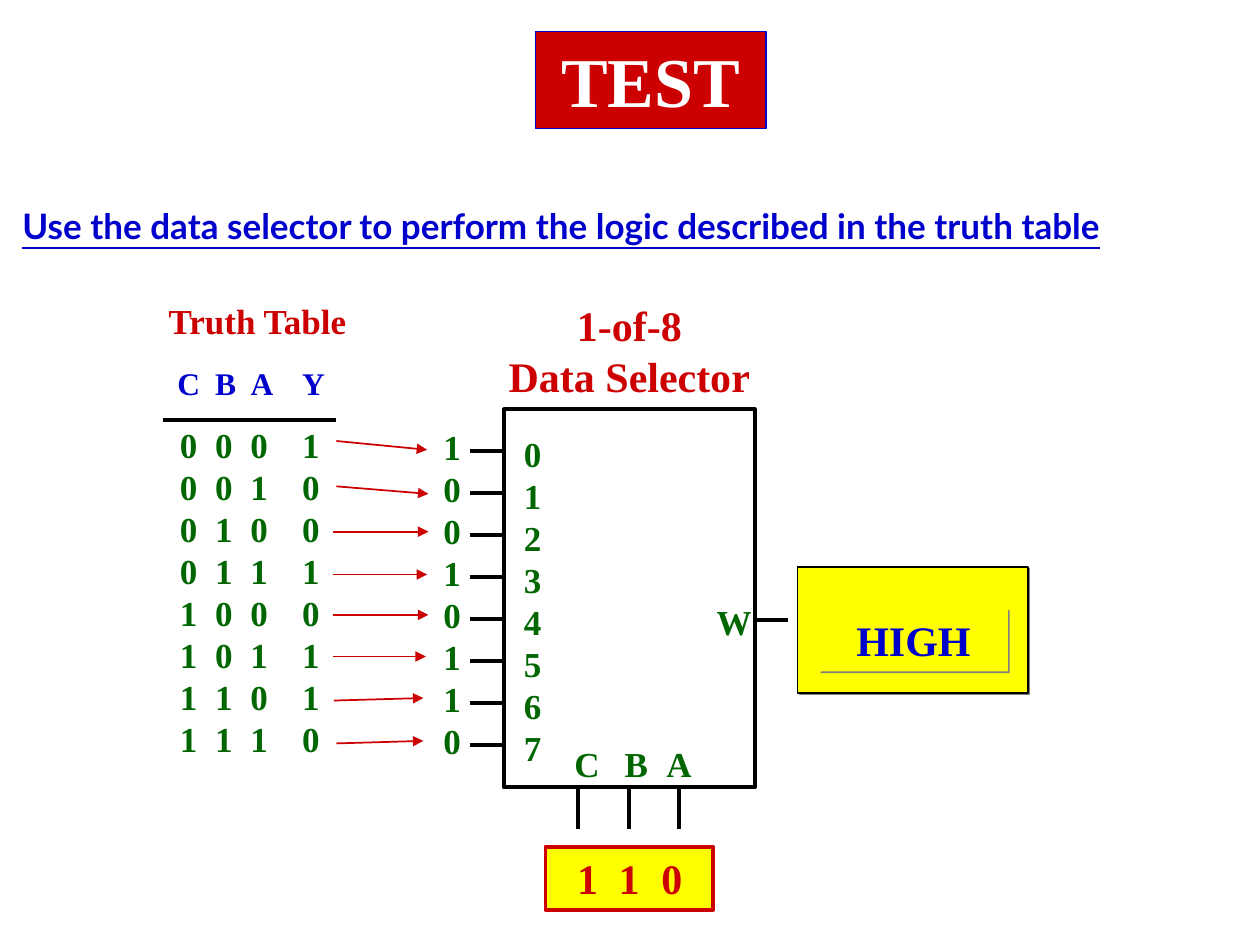
from dataclasses import dataclass, field
from typing import Any, Optional

from lxml import etree
from pptx import Presentation
from pptx import util as u
from pptx.dml.color import RGBColor
from pptx.enum import shapes, text
from pptx.oxml import ns

RED, BLUE, GREEN = "CC0000", "0000CC", "006600"
BLACK, WHITE, YELLOW, GRAY = "000000", "FFFFFF", "FFFF00", "808080"
SERIF = "Times New Roman"
ROW_PITCH = 1 / 3
DIGIT_TABS = (0.28, 0.56, 0.97)


@dataclass
class Line:
    words: str
    size: float = 20
    color: str = GREEN
    font: dict[str, Any] = field(default_factory=dict)
    tabs: tuple[float, ...] = ()
    paragraph: dict[str, Any] = field(default_factory=dict)


@dataclass
class Panel:
    left: float
    top: float
    width: float
    height: float
    fill: Optional[str] = None
    outline: Optional[str] = None
    weight: float = 0.75
    shadow: bool = False


@dataclass
class Arrow:
    start: tuple[float, float]
    end: tuple[float, float]


def rgb(value: str) -> RGBColor:
    return RGBColor.from_string(value)


def add_node(parent: Any, tag: str, **attributes: str) -> Any:
    return etree.SubElement(parent, ns.qn(tag), attributes)


def write(box: Any, lines: list[Line], align: text.PP_ALIGN, inset: float = 0.1) -> None:
    frame = box.text_frame
    layout = {"word_wrap": True, "vertical_anchor": text.MSO_ANCHOR.TOP,
              "margin_left": u.Inches(inset), "margin_right": u.Inches(0.1),
              "margin_top": u.Inches(0.05), "margin_bottom": u.Inches(0.05)}
    for name, value in layout.items():
        setattr(frame, name, value)
    for index, line in enumerate(lines):
        para = frame.add_paragraph() if index else frame.paragraphs[0]
        if line.tabs:
            stops = add_node(para._p.get_or_add_pPr(), "a:tabLst")
            for stop in line.tabs:
                add_node(stops, "a:tab", pos=str(u.Inches(stop)), algn="l")
        for name, value in {"alignment": align, **line.paragraph}.items():
            setattr(para, name, value)
        span = para.add_run()
        span.text = line.words
        style = {"name": SERIF, "size": u.Pt(line.size), "bold": True, **line.font}
        for name, value in style.items():
            setattr(span.font, name, value)
        span.font.color.rgb = rgb(line.color)


def add_text(page: Any, left: float, top: float, width: float, height: float,
             *lines: Line, align: text.PP_ALIGN = text.PP_ALIGN.LEFT) -> None:
    box = page.shapes.add_textbox(*map(u.Inches, (left, top, width, height)))
    write(box, list(lines), align)


def add_panel(host: Any, panel: Panel) -> Any:
    """Draw a rectangle on a slide or in a group."""
    corners = map(u.Inches, (panel.left, panel.top, panel.width, panel.height))
    box = host.shapes.add_shape(shapes.MSO_SHAPE.RECTANGLE, *corners)
    box.shadow.inherit = False
    if panel.fill:
        box.fill.solid()
        box.fill.fore_color.rgb = rgb(panel.fill)
    else:
        box.fill.background()
    if panel.outline:
        box.line.color.rgb = rgb(panel.outline)
        box.line.width = u.Pt(panel.weight)
    else:
        box.line.fill.background()
    if panel.shadow:
        effects = box._element.spPr.find(ns.qn("a:effectLst"))
        shade = add_node(effects, "a:outerShdw", dist=str(u.Pt(1.4)), dir="2700000",
                         algn="ctr", rotWithShape="0")
        add_node(shade, "a:srgbClr", val=GRAY)
    return box


def add_line(page: Any, start: tuple[float, float], end: tuple[float, float],
             color: str = BLACK, weight: float = 2.25, arrowhead: bool = False) -> Any:
    line = page.shapes.add_connector(shapes.MSO_CONNECTOR.STRAIGHT,
                                     *map(u.Inches, (*start, *end)))
    line.line.color.rgb = rgb(color)
    line.line.width = u.Pt(weight)
    if arrowhead:
        add_node(line.line._get_or_add_ln(), "a:tailEnd", type="triangle")
    add_node(line._element.spPr, "a:effectLst")
    return line


def draw_selector(page: Any) -> None:
    add_text(page, 3.83, 2.33, 2.33, 0.9, Line("1-of-8", 24, RED),
             Line("Data Selector", 24, RED), align=text.PP_ALIGN.CENTER)
    block = add_panel(page, Panel(4, 3.25, 1.99, 3, outline=BLACK, weight=2.25))
    for port, level in enumerate("10010110"):
        drop = port * ROW_PITCH
        add_line(page, (3.73, 3.58 + drop), (4, 3.58 + drop))
        add_text(page, 4.06, 3.38 + drop, 0.33, 0.44, Line(str(port)))
        add_text(page, 3.42, 3.33 + drop, 0.33, 0.44, Line(level))
    add_line(page, (5.98, 4.92), (6.25, 4.92))
    add_text(page, 5.59, 4.72, 0.33, 0.44, Line("W"))
    for x in (4.59, 4.99, 5.39):
        lead = add_line(page, (x, 6.25), (x, 6.58))
        if x == 4.99:
            lead.begin_connect(block, 2)
            lead.end_x = lead.begin_x
    for name, left in (("C", 4.46), ("B", 4.86), ("A", 5.19)):
        add_text(page, left, 5.84, 0.33, 0.44, Line(name))
    address = add_panel(page, Panel(4.33, 6.72, 1.33, 0.5, YELLOW, RED, 2.25))
    write(address, [Line("1\t1\t0", 24, RED, tabs=(0.33, 0.67))],
          text.PP_ALIGN.LEFT, inset=0.25)


def draw_truth_table(page: Any) -> None:
    add_text(page, 1.24, 2.33, 2.26, 0.94,
             Line("Truth Table", color=RED, paragraph={"space_after": u.Pt(12.5)}),
             Line("\tC\tB\tA\tY", 18, BLUE, tabs=(0.07, 0.37, 0.65, 1.06)))
    add_line(page, (1.29, 3.33), (2.67, 3.33))
    for row, output in enumerate("10010110"):
        cells = "\t".join(f"{row:03b}{output}")
        add_text(page, 1.33, 3.31 + row * ROW_PITCH, 1.5, 0.44,
                 Line(cells, tabs=DIGIT_TABS))


def draw_arrows(page: Any) -> None:
    arrows = [
        Arrow((2.67, 3.5), (3.39, 3.57)), Arrow((2.67, 3.86), (3.4, 3.92)),
        Arrow((2.64, 4.22), (3.4, 4.22)), Arrow((2.64, 4.56), (3.39, 4.56)),
        Arrow((2.64, 4.88), (3.4, 4.88)), Arrow((2.64, 5.21), (3.38, 5.21)),
        Arrow((2.65, 5.56), (3.36, 5.54)), Arrow((2.67, 5.9), (3.36, 5.88)),
    ]
    for arrow in arrows:
        add_line(page, arrow.start, arrow.end, RED, 1, arrowhead=True)


def draw_answer(page: Any) -> None:
    group = page.shapes.add_group_shape()
    add_panel(group, Panel(6.33, 4.5, 1.83, 1, YELLOW, BLACK, shadow=True))
    answer = add_panel(group, Panel(6.5, 4.83, 1.5, 0.5, YELLOW, shadow=True))
    write(answer, [Line("HIGH", 24, BLUE)], text.PP_ALIGN.CENTER)


def main() -> None:
    deck = Presentation()
    deck.slide_width, deck.slide_height = u.Inches(10), u.Inches(7.5)
    page = deck.slides.add_slide(deck.slide_layouts[6])
    title = add_panel(page, Panel(4.25, 0.25, 1.83, 0.77, RED, BLUE))
    write(title, [Line("TEST", 40, WHITE)], text.PP_ALIGN.CENTER)
    add_text(page, 0.08, 1.57, 10.25, 0.44,
             Line("Use the data selector to perform the logic described in the truth table",
                  color=BLUE, font={"name": "Lato", "underline": True}))
    draw_selector(page)
    draw_truth_table(page)
    draw_arrows(page)
    draw_answer(page)
    deck.save("out.pptx")


if __name__ == "__main__":
    main()
